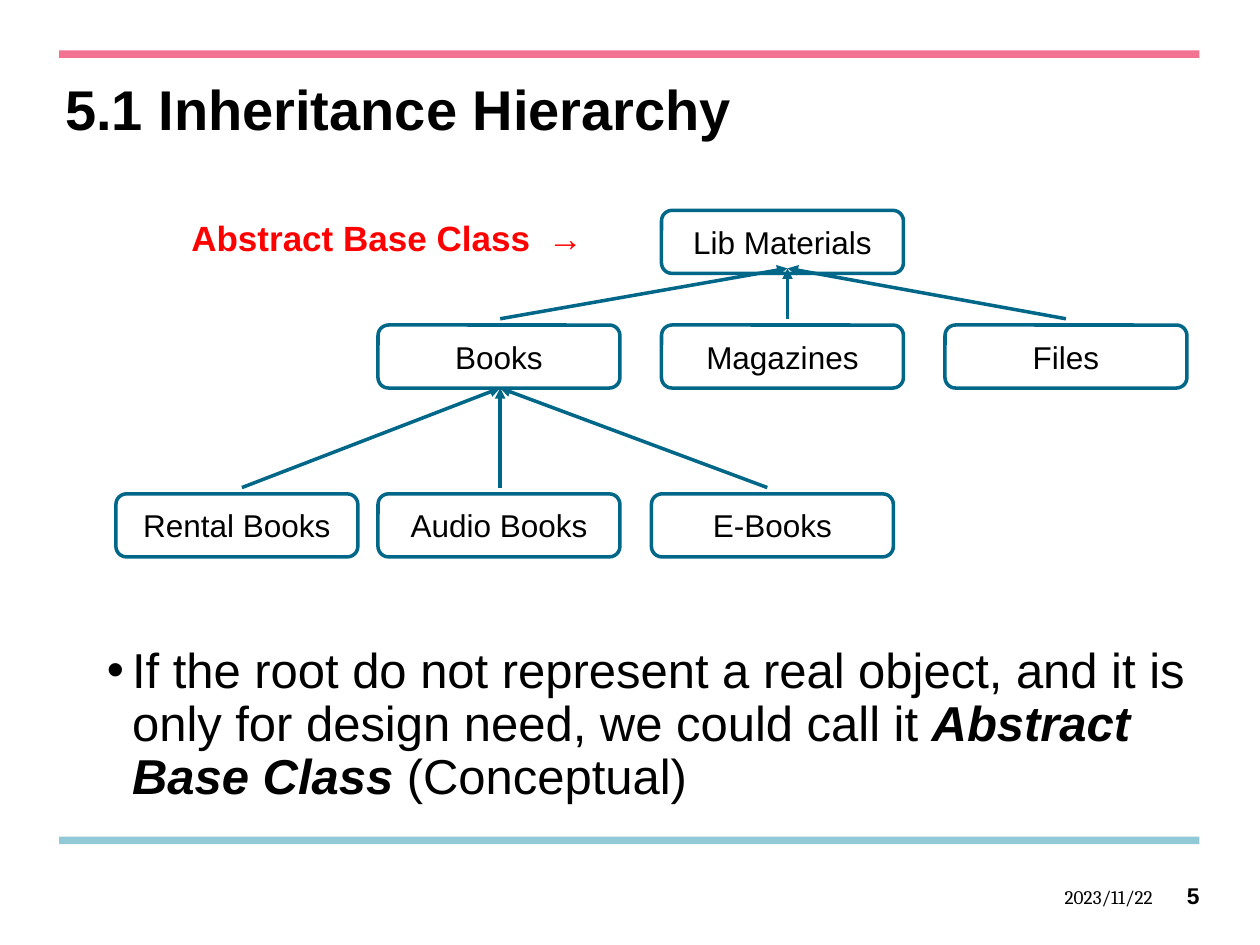
"""Build the inheritance hierarchy slide."""
from lxml.etree import SubElement
from pptx import Presentation
from pptx.dml.color import RGBColor
from pptx.enum.shapes import MSO_CONNECTOR, MSO_SHAPE
from pptx.enum.text import MSO_ANCHOR, PP_ALIGN
from pptx.oxml.ns import qn
from pptx.util import Inches, Pt

TEAL, WHITE, BLACK, RED = "006788", "FFFFFF", "000000", "FF0000"
BOX_W, BOX_H = 1.92, 0.5
RULES = [(0.4, "F17391"), (6.64, "92C9D7")]
ROWS = [
    (1.67, [("Lib Materials", 5.25)]),
    (2.58, [("Books", 3), ("Magazines", 5.25), ("Files", 7.5)]),
    (3.92, [("Rental Books", 0.92), ("Audio Books", 3), ("E-Books", 5.17)]),
]
BRANCHES = [
    ((6.25, 2.13), 2.53, (3.97, 6.25, 8.46)),
    ((3.97, 3.08), 3.87, (1.92, 3.97, 6.09)),
]
TITLE = [("5.1 Inheritance Hierarchy", {"bold": True})]
LABEL = [("Abstract Base Class", {"bold": True}), ("\t→", {})]
BODY = [
    ("If the root do not represent a real object, and it is only for design need, we could call it ", {}),
    ("Abstract Base Class", {"bold": True, "italic": True}),
    (" (Conceptual)", {}),
]
DATE = [("2023/11/22", {})]
NUMBER = [("5", {"bold": True})]


def rgb(value):
    """Turn a hex string into a colour."""
    return RGBColor.from_string(value)


def set_all(target, values):
    """Set attributes from a dict."""
    for name, value in values.items():
        setattr(target, name, value)


def write(sp, runs, size, color=BLACK, font="Arial", frame=None, para=None):
    """Fill a shape with one paragraph of formatted runs."""
    tf = sp.text_frame
    set_all(tf, {"word_wrap": True, "vertical_anchor": MSO_ANCHOR.TOP, **(frame or {})})
    p = tf.paragraphs[0]
    set_all(p, {"alignment": PP_ALIGN.LEFT, **(para or {})})
    for text, style in runs:
        r = p.add_run()
        r.text = text
        set_all(r.font, {"name": font, "size": Pt(size), **style})
        r.font.color.rgb = rgb(color)
    return p


def add_text(s, box, *args, **formats):
    """Add a text box and return its paragraph."""
    return write(s.shapes.add_textbox(*map(Inches, box)), *args, **formats)


def add_box(s, kind, box, fill, line=None):
    """Add a flat filled shape."""
    sp = s.shapes.add_shape(kind, *map(Inches, box))
    sp.shadow.inherit = False
    sp.fill.solid()
    sp.fill.fore_color.rgb = rgb(fill)
    if line:
        sp.line.color.rgb = rgb(line)
        sp.line.width = Pt(2)
    else:
        sp.line.fill.background()
    return sp


def add_arrow(s, start, end):
    """Add a connector with an arrowhead at its end."""
    c = s.shapes.add_connector(MSO_CONNECTOR.STRAIGHT, *map(Inches, start + end))
    c.line.color.rgb = rgb(TEAL)
    c.line.width = Pt(2)
    SubElement(c.line._get_or_add_ln(), qn("a:tailEnd"), type="triangle")
    SubElement(c._element.spPr, qn("a:effectLst"))


def add_bullet(p, left, hang):
    """Give a paragraph a hanging bullet."""
    pPr = p._p.get_or_add_pPr()
    pPr.set("marL", str(Inches(left)))
    pPr.set("indent", str(-Inches(hang)))
    SubElement(pPr, qn("a:buFont"), typeface="Arial")
    SubElement(pPr, qn("a:buChar"), char="•")


def add_tab(p, position):
    """Give a paragraph a left tab stop."""
    tabs = SubElement(p._p.get_or_add_pPr(), qn("a:tabLst"))
    SubElement(tabs, qn("a:tab"), pos=str(Inches(position)), algn="l")


def main():
    """Lay out and save the slide."""
    prs = Presentation()
    set_all(prs, {"slide_width": Inches(10), "slide_height": Inches(7.5)})
    s = prs.slides.add_slide(prs.slide_layouts[6])

    for top, color in RULES:
        add_box(s, MSO_SHAPE.RECTANGLE, (0.47, top, 9.05, 0.06), color)
    add_text(s, (0.42, 0.6, 8.74, 1.1), TITLE, 32, para={"line_spacing": Pt(34)})
    p = add_text(s, (0.75, 5.08, 8.83, 1.55), BODY, 28, para={"line_spacing": 0.9})
    add_bullet(p, 0.2, 0.2)

    centred = {"word_wrap": False, "vertical_anchor": MSO_ANCHOR.MIDDLE}
    for top, boxes in ROWS:
        for text, left in boxes:
            sp = add_box(s, MSO_SHAPE.ROUNDED_RECTANGLE, (left, top, BOX_W, BOX_H), WHITE, TEAL)
            write(sp, [(text, {})], 18, frame=centred, para={"alignment": PP_ALIGN.CENTER})
    label = add_box(s, MSO_SHAPE.RECTANGLE, (1.42, 1.67, 3.67, 0.44), WHITE)
    add_tab(write(label, LABEL, 20, RED), 2.83)
    for parent, bottom, children in BRANCHES:
        for x in children:
            add_arrow(s, (x, bottom), parent)

    flush = dict.fromkeys(("margin_left", "margin_top", "margin_right", "margin_bottom"), 0)
    right = {"alignment": PP_ALIGN.RIGHT}
    add_text(s, (8.19, 6.98, 0.96, 0.27), DATE, 11, font="Cambria", para=right,
             frame={**flush, "vertical_anchor": MSO_ANCHOR.MIDDLE})
    add_text(s, (9.13, 6.98, 0.39, 0.27), NUMBER, 13, para=right,
             frame={**flush, "margin_top": Inches(0.02)})
    prs.save("out.pptx")


if __name__ == "__main__":
    main()
